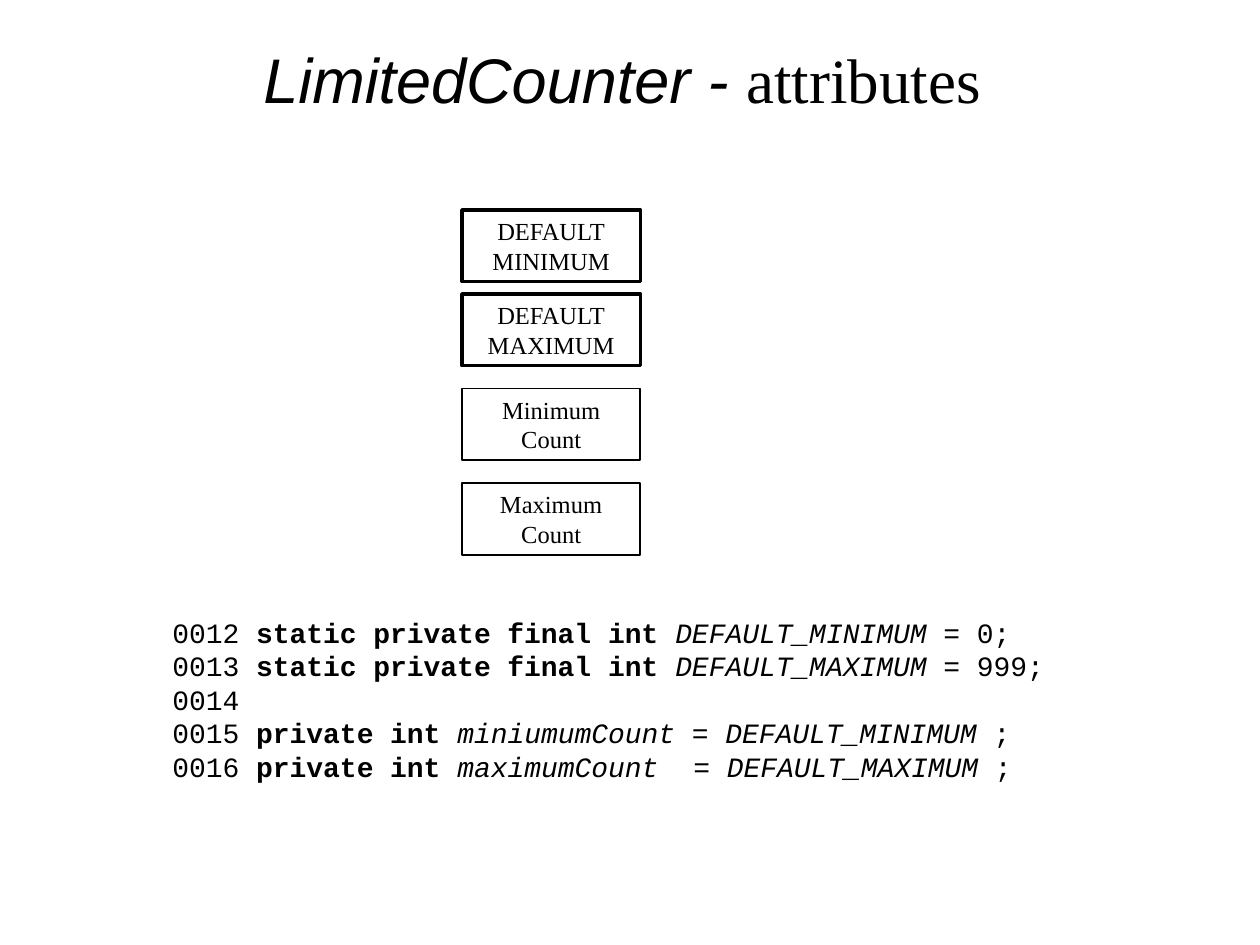
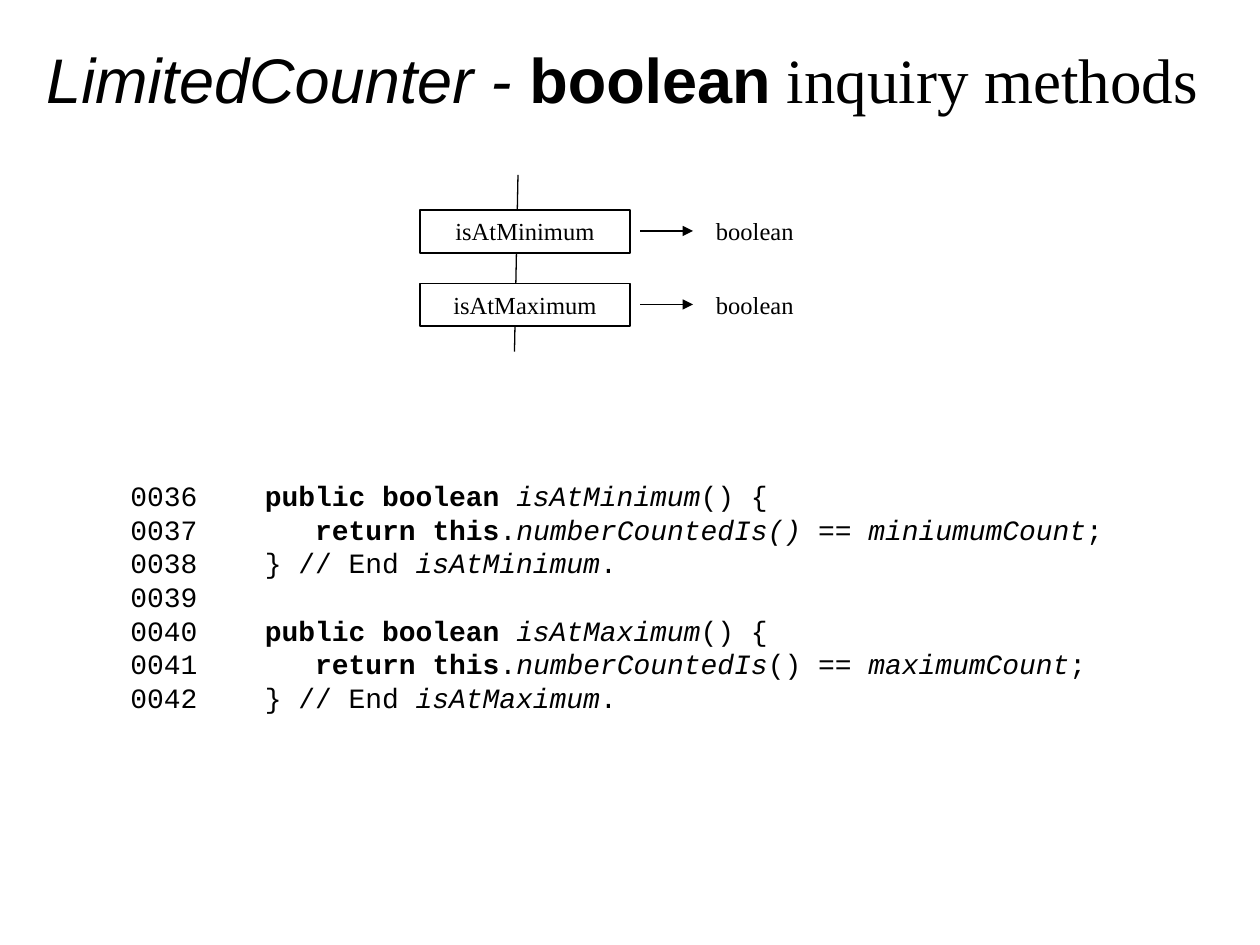
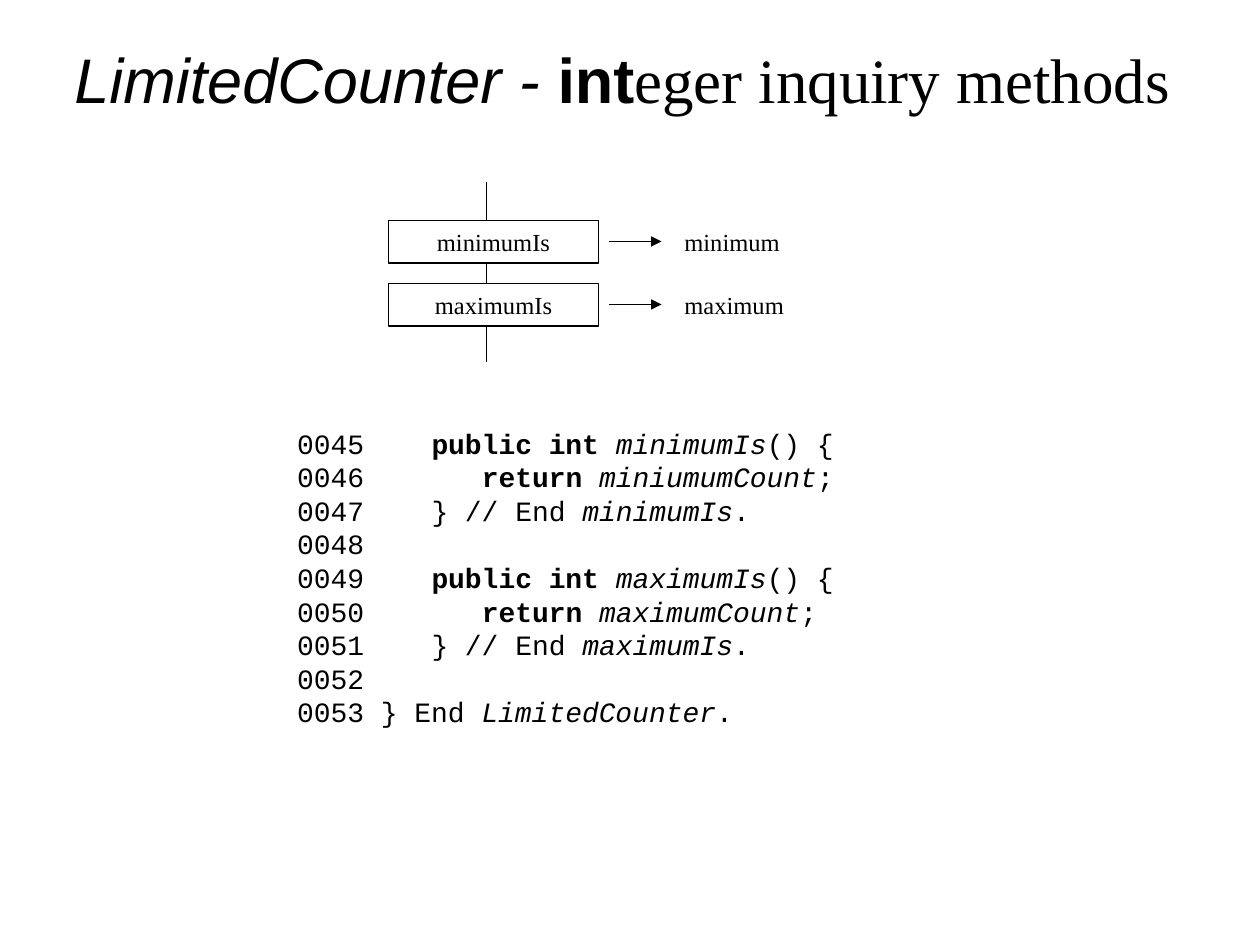
from lxml.etree import SubElement
from pptx import Presentation
from pptx.dml.color import RGBColor
from pptx.enum.shapes import MSO_CONNECTOR, MSO_SHAPE
from pptx.enum.text import MSO_ANCHOR, PP_ALIGN
from pptx.oxml.ns import qn
from pptx.util import Pt

BLACK = RGBColor(0x00, 0x00, 0x00)
WHITE = RGBColor(0xFF, 0xFF, 0xFF)

SANS, SERIF, MONO = "Arial", "Times New Roman", "Courier New"
TITLE_SIZE, LABEL_SIZE, CODE_SIZE = 36, 14, 16
LINE_PITCH = 1.2
CODE_CHARACTER = 0.6 * CODE_SIZE
CODE_STOPS = (8, 11, 31)  # columns, in characters

PLAIN = {}
BOLD = {"bold": True}
ITALIC = {"italic": True}

TITLE_SANS = {"name": SANS, "size": Pt(TITLE_SIZE)}
TITLE_SERIF = {"name": SERIF, "size": Pt(TITLE_SIZE)}
LABEL = {"name": SERIF, "size": Pt(LABEL_SIZE)}
CODE = {"name": MONO, "size": Pt(CODE_SIZE)}
CLASS_NAME = (TITLE_SANS | ITALIC, "LimitedCounter - ")

FIELD_WIDTH, FIELD_HEIGHT = 102, 41
METHOD_WIDTH, METHOD_HEIGHT = 120, 24.5
ARROW_GAP, ARROW_LENGTH, RESULT_GAP = 6, 30, 42


def add_span(para, text, formats):
    span = para.add_run()
    span.text = text
    span.font.color.rgb = BLACK
    for name, value in formats.items():
        setattr(span.font, name, value)


def add_text_box(page, left, top, width, height):
    box = page.shapes.add_textbox(Pt(left), Pt(top), Pt(width), Pt(height))
    box.text_frame.word_wrap = True
    return box.text_frame


def add_title(page, *spans):
    frame = add_text_box(page, 0, 0, 720, 90)
    frame.vertical_anchor = MSO_ANCHOR.MIDDLE
    para = frame.paragraphs[0]
    para.alignment = PP_ALIGN.CENTER
    for formats, text in spans:
        add_span(para, text, formats)


def write_label(frame, lines, alignment):
    para = frame.paragraphs[0]
    para.alignment = alignment
    para.line_spacing = Pt(LABEL_SIZE * LINE_PITCH)
    for index, line in enumerate(lines):
        if index:
            para.add_line_break()
        add_span(para, line, LABEL)


def add_box(page, left, top, width, height, lines, border=1):
    box = page.shapes.add_shape(
        MSO_SHAPE.RECTANGLE, Pt(left), Pt(top), Pt(width), Pt(height))
    box.shadow.inherit = False
    box.fill.solid()
    box.fill.fore_color.rgb = WHITE
    box.line.color.rgb = BLACK
    box.line.width = Pt(border)
    box.text_frame.word_wrap = True
    box.text_frame.vertical_anchor = MSO_ANCHOR.TOP
    write_label(box.text_frame, lines, PP_ALIGN.CENTER)


def add_line(page, start, end, arrow=False):
    line = page.shapes.add_connector(
        MSO_CONNECTOR.STRAIGHT, *(Pt(value) for value in (*start, *end)))
    line.line.color.rgb = BLACK
    line.line.width = Pt(0.75)
    if arrow:
        SubElement(line.line._get_or_add_ln(), qn("a:tailEnd"), type="triangle")
    SubElement(line._element.spPr, qn("a:effectLst"))


def add_method(page, left, top, name, result, result_width):
    """Draw a method's box, the arrow beside it and what it returns."""
    add_box(page, left, top, METHOD_WIDTH, METHOD_HEIGHT, [name])
    right, middle = left + METHOD_WIDTH, top + 12
    arrow_left = right + ARROW_GAP
    add_line(page, (arrow_left, middle), (arrow_left + ARROW_LENGTH, middle), arrow=True)
    frame = add_text_box(page, right + RESULT_GAP, top, result_width, METHOD_HEIGHT)
    write_label(frame, [result], PP_ALIGN.LEFT)


def set_code_stops(para):
    stops = SubElement(para._p.get_or_add_pPr(), qn("a:tabLst"))
    for column in CODE_STOPS:
        position = Pt(column * CODE_CHARACTER)
        SubElement(stops, qn("a:tab"), pos=str(int(position)), algn="l")


def add_code(page, left, top, width, first_number, lines):
    """Write numbered code lines, each a list of (formats, text) spans."""
    pitch = CODE_SIZE * LINE_PITCH
    frame = add_text_box(page, left, top, width, len(lines) * pitch + 7.2)
    for index, spans in enumerate(lines):
        para = frame.add_paragraph() if index else frame.paragraphs[0]
        para.line_spacing = Pt(pitch)
        set_code_stops(para)
        add_span(para, f"{first_number + index:04}", CODE)
        for formats, text in spans:
            add_span(para, text, CODE | formats)


def method_opening(result, name):
    return [(BOLD, f"\tpublic {result} "), (ITALIC, name), (PLAIN, "() {")]


def method_ending(name):
    return [(PLAIN, "\t} // End "), (ITALIC, name), (PLAIN, ".")]


def constant_line(name, value):
    return [(BOLD, " static private final int "), (ITALIC, name),
            (PLAIN, f" = {value};")]


def field_line(assignment):
    return [(BOLD, " private int "), (ITALIC, assignment), (PLAIN, " ;")]


def comparison_line(call, operator, field):
    return [(BOLD, "\t\treturn this"), (PLAIN, "."), (ITALIC, call),
            (PLAIN, operator), (ITALIC, field), (PLAIN, ";")]


def return_line(field):
    return [(BOLD, "\t\treturn "), (ITALIC, field), (PLAIN, ";")]


def build_attributes(page):
    add_title(page, CLASS_NAME, (TITLE_SERIF, "attributes "))
    for top, lines, border in (
            (120, ["DEFAULT", "MINIMUM"], 2),
            (168, ["DEFAULT", "MAXIMUM"], 2),
            (222, ["Minimum", "Count"], 1),
            (276, ["Maximum", "Count"], 1)):
        add_box(page, 264, top, FIELD_WIDTH, FIELD_HEIGHT, lines, border)
    add_code(page, 91.5, 348, 515, 12, [
        constant_line("DEFAULT_MINIMUM", 0),
        constant_line("DEFAULT_MAXIMUM", 999),
        [],
        field_line("miniumumCount = DEFAULT_MINIMUM"),
        field_line("maximumCount\t= DEFAULT_MAXIMUM"),
    ])


def build_boolean_methods(page):
    add_line(page, (296, 100), (294, 201))
    add_title(page, CLASS_NAME, (TITLE_SANS | BOLD, "boolean"),
              (TITLE_SERIF, " inquiry methods "))
    for top, name in ((120, "isAtMinimum"), (162, "isAtMaximum")):
        add_method(page, 240, top, name, "boolean", 62)
    add_code(page, 67.5, 270, 573, 36, [
        method_opening("boolean", "isAtMinimum"),
        comparison_line("numberCountedIs()", " == ", "miniumumCount"),
        method_ending("isAtMinimum"),
        [],
        method_opening("boolean", "isAtMaximum"),
        comparison_line("numberCountedIs", "() == ", "maximumCount"),
        method_ending("isAtMaximum"),
    ])


def build_integer_methods(page):
    add_line(page, (278, 104), (278, 207))
    add_title(page, CLASS_NAME, (TITLE_SANS | BOLD, "int"),
              (TITLE_SERIF, "eger inquiry methods "))
    for top, limit in ((126, "minimum"), (162, "maximum")):
        add_method(page, 222, top, f"{limit}Is", limit, 75)
    add_code(page, 162.75, 240, 330, 45, [
        method_opening("int", "minimumIs"),
        return_line("miniumumCount"),
        method_ending("minimumIs"),
        [],
        method_opening("int", "maximumIs"),
        return_line("maximumCount"),
        method_ending("maximumIs"),
        [],
        [(PLAIN, " } End "), (ITALIC, "LimitedCounter"), (PLAIN, ".")],
    ])


def main():
    deck = Presentation()
    deck.slide_width, deck.slide_height = Pt(720), Pt(540)
    blank = deck.slide_layouts[6]
    for build in (build_attributes, build_boolean_methods, build_integer_methods):
        build(deck.slides.add_slide(blank))
    deck.save("out.pptx")


if __name__ == "__main__":
    main()
